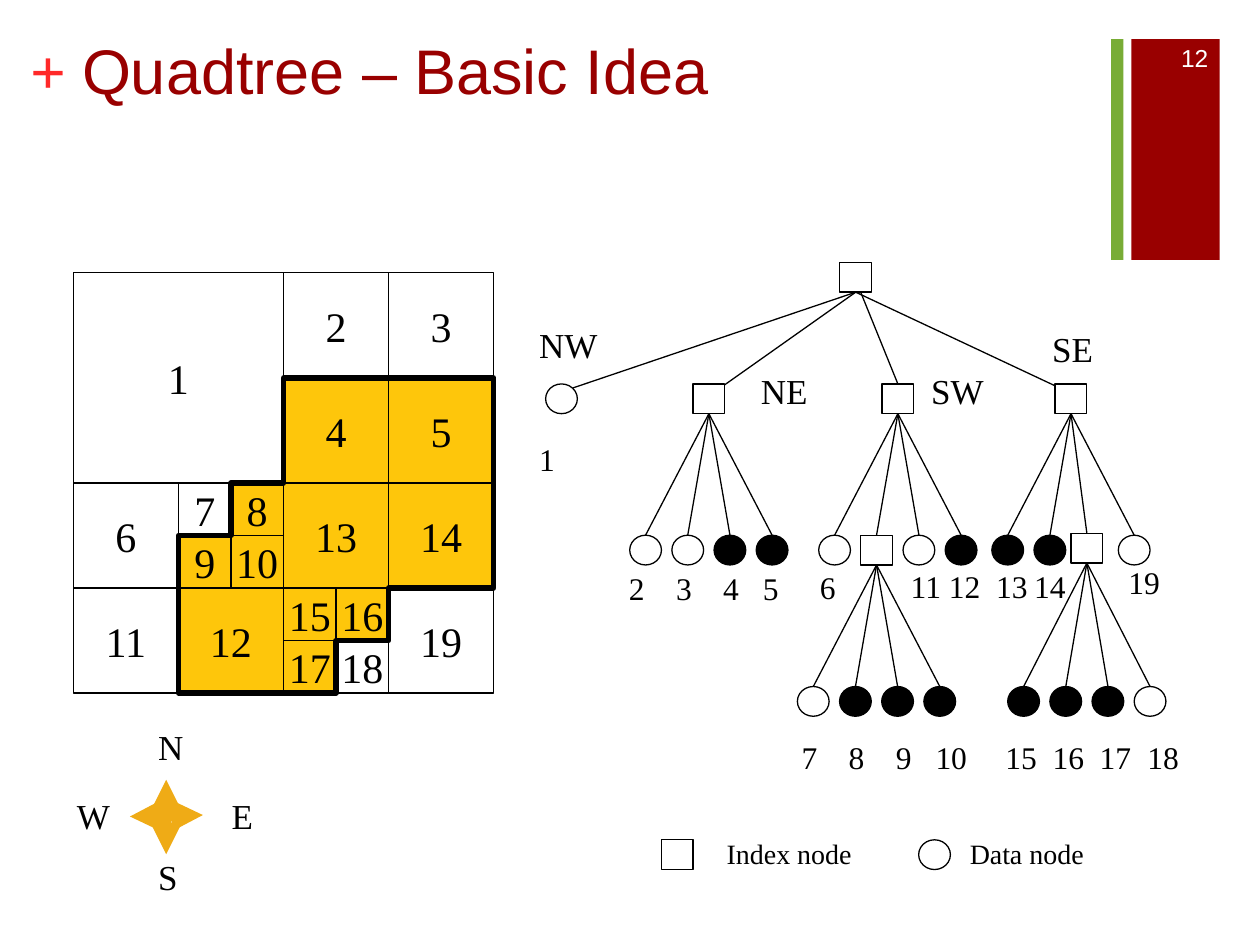
"""Builds the quadtree slide: a partitioned grid, its tree, a compass and a legend."""
from lxml import etree
from pptx import Presentation
from pptx.dml.color import RGBColor
from pptx.enum.shapes import MSO_CONNECTOR, MSO_SHAPE
from pptx.enum.text import MSO_ANCHOR, MSO_AUTO_SIZE, PP_ALIGN
from pptx.oxml.ns import qn
from pptx.util import Cm, Pt

RECT, OVAL = MSO_SHAPE.RECTANGLE, MSO_SHAPE.OVAL
STRAIGHT = MSO_CONNECTOR.STRAIGHT
LEFT, CENTER, RIGHT = PP_ALIGN.LEFT, PP_ALIGN.CENTER, PP_ALIGN.RIGHT
TOP, MIDDLE = MSO_ANCHOR.TOP, MSO_ANCHOR.MIDDLE
TITLE_ONLY = 5
SERIF, SANS = "Times New Roman", "Arial"
BLACK, WHITE, RED, GOLD = "000000", "FFFFFF", "990000", "FEC60B"
GRID_X, GRID_Y, GRID_SIDE = 1.48, 5.5, 8.47
UNIT = GRID_SIDE / 8
NODE_W, NODE_H, NODE_GAP = 0.64, 0.6, 0.85
LEVELS = [5.29, 7.74, 10.79, 13.84]


def rgb(value):
    """Turn a hex string into a colour."""
    return RGBColor.from_string(value)


def write(sp, text, size=18, font=SERIF, color=BLACK, bold=False,
          align=LEFT, anchor=TOP, wrap=True, inset=None, tabs=()):
    """Put one formatted paragraph into a shape."""
    tf = sp.text_frame
    tf.word_wrap, tf.vertical_anchor, tf.auto_size = wrap, anchor, MSO_AUTO_SIZE.NONE
    if inset is not None:
        tf.margin_left = tf.margin_right = tf.margin_top = tf.margin_bottom = Cm(inset)
    p = tf.paragraphs[0]
    p.alignment = align
    if tabs:
        stops = etree.SubElement(p._p.get_or_add_pPr(), qn("a:tabLst"))
        for stop in tabs:
            etree.SubElement(stops, qn("a:tab"), pos=str(Cm(stop)), algn="l")
    r = p.add_run()
    r.text = text
    r.font.size, r.font.name, r.font.bold = Pt(size), font, bold
    r.font.color.rgb = rgb(color)


class Deck:
    """Holds the presentation, the current slide and its drawing style."""

    def __init__(self):
        """Open a title-only slide."""
        self.prs = Presentation()
        self.prs.slide_width, self.prs.slide_height = Cm(25.4), Cm(19.05)
        self.s = self.prs.slides.add_slide(self.prs.slide_layouts[TITLE_ONLY])

    def title(self, text, x, y, w, h):
        """Place and fill the title."""
        sp = self.s.shapes.title
        sp.left, sp.top, sp.width, sp.height = Cm(x), Cm(y), Cm(w), Cm(h)
        write(sp, text, size=36, font=SANS, color=RED)

    def style(self, sp, fill, line, width=0.75):
        """Set fill, outline and shadow of a shape."""
        sp.shadow.inherit = False
        if fill:
            sp.fill.solid()
            sp.fill.fore_color.rgb = rgb(fill)
        else:
            sp.fill.background()
        if line:
            sp.line.color.rgb = rgb(line)
            sp.line.width = Pt(width)
        else:
            sp.line.fill.background()

    def shape(self, kind, x, y, w, h, fill=None, line=BLACK):
        """Add a preset shape."""
        sp = self.s.shapes.add_shape(kind, Cm(x), Cm(y), Cm(w), Cm(h))
        self.style(sp, fill, line)
        return sp

    def text(self, text, x, y, w, h, **fmt):
        """Add a text box."""
        write(self.s.shapes.add_textbox(Cm(x), Cm(y), Cm(w), Cm(h)), text, **fmt)

    def line(self, x1, y1, x2, y2, color=BLACK, width=0.75, arrows=False):
        """Add a straight connector."""
        c = self.s.shapes.add_connector(STRAIGHT, Cm(x1), Cm(y1), Cm(x2), Cm(y2))
        c.line.color.rgb = rgb(color)
        c.line.width = Pt(width)
        if arrows:
            for end in ("a:headEnd", "a:tailEnd"):
                etree.SubElement(c.line._get_or_add_ln(), qn(end), type="triangle")
        etree.SubElement(c._element.spPr, qn("a:effectLst"))
        return c

    def cell(self, label, col, row, span, fill):
        """Add one numbered quadrant of the grid."""
        side = span * UNIT
        sp = self.shape(RECT, GRID_X + col * UNIT, GRID_Y + row * UNIT, side, side, fill)
        write(sp, str(label), size=24, align=CENTER, anchor=MIDDLE, wrap=False)

    def outline(self, points):
        """Add a thick closed outline given in grid units."""
        builder = self.s.shapes.build_freeform(*points[0], scale=Cm(UNIT))
        builder.add_line_segments(points[1:], close=True)
        self.style(builder.convert_to_shape(Cm(GRID_X), Cm(GRID_Y)), None, BLACK, 3)

    def node(self, kind, center, y, fill=WHITE):
        """Add a tree node around a centre."""
        return self.shape(kind, center - NODE_W / 2, y, NODE_W, NODE_H, fill)

    def fan(self, parent, level, children):
        """Join a parent to four children, each a leaf colour or a ready node."""
        middle = (parent.left + parent.width / 2) / Cm(1)
        for i, child in enumerate(children):
            if isinstance(child, str):
                child = self.node(OVAL, middle + (i - 1.5) * NODE_GAP, LEVELS[level], child)
            c = self.line(0, 0, 1, 1)
            c.begin_connect(parent, 2)
            c.end_connect(child, 0)


def add_grid(deck):
    """Draw the partitioned square and the region outline."""
    cells = [(1, 0, 0, 4, None), (2, 4, 0, 2, None), (3, 6, 0, 2, None),
             (4, 4, 2, 2, GOLD), (5, 6, 2, 2, GOLD), (6, 0, 4, 2, None),
             (7, 2, 4, 1, None), (8, 3, 4, 1, GOLD), (9, 2, 5, 1, GOLD),
             (10, 3, 5, 1, GOLD), (11, 0, 6, 2, None), (12, 2, 6, 2, GOLD),
             (13, 4, 4, 2, GOLD), (14, 6, 4, 2, GOLD), (15, 4, 6, 1, GOLD),
             (16, 5, 6, 1, GOLD), (17, 4, 7, 1, GOLD), (18, 5, 7, 1, None),
             (19, 6, 6, 2, None)]
    for cell in cells:
        deck.cell(*cell)
    deck.outline([(2, 5), (2, 8), (5, 8), (5, 7), (6, 7), (6, 6),
                  (8, 6), (8, 2), (4, 2), (4, 4), (3, 4), (3, 5)])


def add_tree(deck):
    """Draw the tree with its quadrant and leaf labels."""
    root_bottom = LEVELS[0] + NODE_H
    nw_line, ne_line, sw_line, se_line = [
        deck.line(x1, root_bottom, x2, y2) for x1, x2, y2 in
        [(17.25, 11.55, 7.82), (17.25, 14.52, 7.82), (17.35, 18.1, 7.74), (17.25, 21.36, 7.82)]]
    root = deck.node(RECT, 17.25, LEVELS[0])
    deck.node(OVAL, 11.32, LEVELS[1], None)
    ne, sw, se = [deck.node(RECT, x, LEVELS[1]) for x in (14.29, 18.1, 21.59)]
    for c in (nw_line, ne_line, se_line):
        c.begin_connect(root, 2)
    sw_line.end_connect(sw, 0)
    sw_index = deck.node(RECT, 17.67, LEVELS[2])
    se_index = deck.node(RECT, 21.91, 10.75)
    deck.fan(ne, 2, [WHITE, WHITE, BLACK, BLACK])
    deck.fan(sw, 2, [WHITE, sw_index, WHITE, BLACK])
    deck.fan(se, 2, [BLACK, BLACK, se_index, WHITE])
    deck.fan(sw_index, 3, [WHITE, BLACK, BLACK, BLACK])
    deck.fan(se_index, 3, [BLACK, BLACK, BLACK, WHITE])

    for label, x, y in [("NW", 10.62, 6.4), ("SE", 20.96, 6.48),
                        ("SW", 18.52, 7.32), ("NE", 15.09, 7.32)]:
        deck.text(label, x, y, 1.96, 1.09, size=20)
    for label, x, y, w, tabs in [
            ("1", 10.62, 8.74, 1.17, ()),
            ("2\t3\t4\t5", 12.43, 11.34, 3.73, (0.95, 1.9, 2.7)),
            ("6", 16.28, 11.33, 1.5, ()),
            ("11\t12\t13\t14", 18.11, 11.3, 3.73, (0.77, 1.72, 2.49)),
            ("19", 22.5, 11.23, 1.5, ()),
            ("7\t8\t9\t10", 15.91, 14.76, 4, (0.95, 1.9, 2.7)),
            ("15\t16\t17\t18", 20.02, 14.76, 4.3, (0.95, 1.9, 2.86))]:
        deck.text(label, x, y, w, 1.02, tabs=tabs)


def add_compass(deck):
    """Draw the crossed arrows and the four directions."""
    for ends in [(3.35, 15.72, 3.35, 17.22), (2.62, 16.46, 4.09, 16.43)]:
        deck.line(*ends, color="EFAB16", width=6, arrows=True)
    for label, x, y in [("E", 4.34, 15.9), ("N", 2.9, 14.5), ("S", 2.84, 17.12), ("W", 1.3, 15.9)]:
        deck.text(label, x, y, 1.09, 1.09, size=20, align=CENTER, anchor=MIDDLE)


def add_legend(deck):
    """Draw the node legend."""
    for kind, center, label, x in [(RECT, 13.65, "Index node", 14.4),
                                   (OVAL, 18.84, "Data node", 19.3)]:
        deck.node(kind, center, 16.93)
        deck.text(label, x, 16.73, 3.18, 0.94, size=16)


def main():
    """Build and save the slide."""
    deck = Deck()
    deck.shape(RECT, 22.81, 0.79, 1.78, 4.45, RED, None)
    deck.shape(RECT, 22.4, 0.79, 0.25, 4.45, "78AC35", None)
    deck.text("+", 0.61, 0.64, 0.74, 1.63, size=36, color="FF2929", bold=True, inset=0)
    deck.title("Quadtree – Basic Idea", 1.4, 0.51, 20.98, 3.1)
    add_grid(deck)
    add_tree(deck)
    deck.text("12", 23.06, 0.66, 1.55, 1.02, size=14, font=SANS, color=WHITE,
              align=RIGHT, anchor=MIDDLE)
    add_compass(deck)
    add_legend(deck)
    deck.prs.save("out.pptx")


if __name__ == "__main__":
    main()
